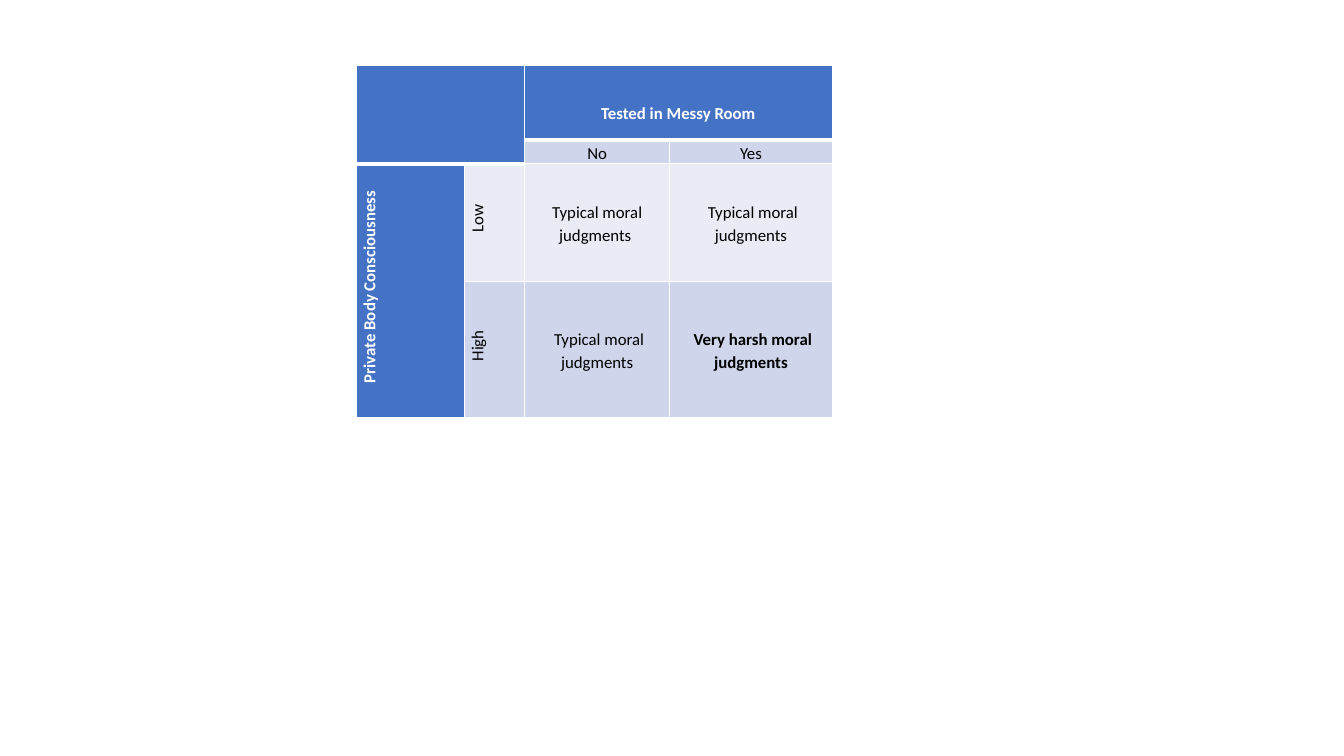
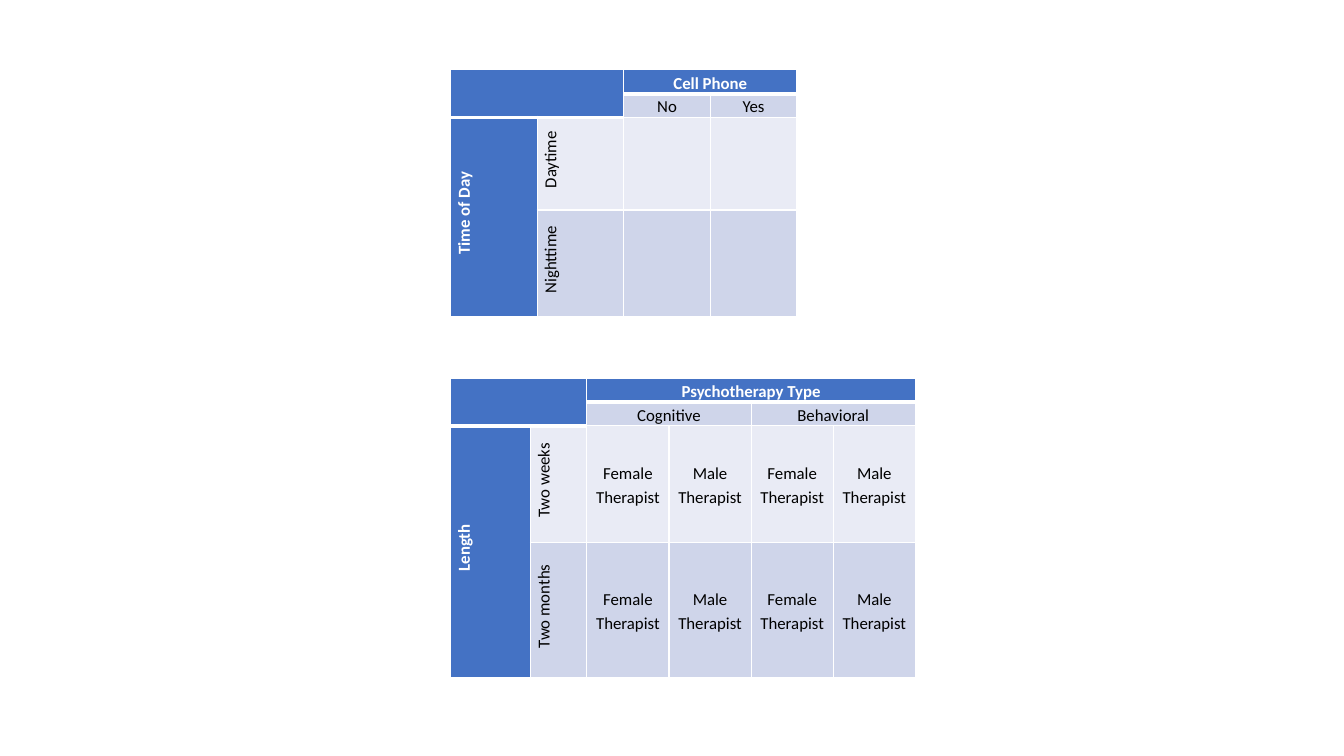
from lxml import etree
from pptx import Presentation
from pptx import util as u
from pptx.dml.color import RGBColor
from pptx.enum import text
from pptx.oxml.ns import qn

INK = {"head": "4472C4", "dark": "CFD5EA", "light": "E9EBF5",
       "line": "FFFFFF", "title": "FFFFFF", "body": "000000"}
FONT = {"name": "Calibri", "size": u.Pt(12)}
CELL = {"margin_left": u.Cm(0.18), "margin_right": u.Cm(0.18),
        "margin_top": 0, "margin_bottom": 0,
        "vertical_anchor": text.MSO_ANCHOR.MIDDLE}
PARA = {"alignment": text.PP_ALIGN.CENTER, "line_spacing": 1.15}
THIN, THICK = u.Pt(1), u.Pt(3)


def apply(item, form):
    for key, value in form.items():
        setattr(item, key, value)


def edge(cell, side, width):
    line = etree.SubElement(cell._tc.get_or_add_tcPr(), qn("a:ln" + side), w=str(width))
    fill = etree.SubElement(line, qn("a:solidFill"))
    etree.SubElement(fill, qn("a:srgbClr"), val=INK["line"])


def heavy(row, col):
    return row == 0 or (row == 1 and col < 2)


def paint(cell, row, col):
    apply(cell, CELL)
    widths = {"L": THIN, "R": THIN,
              "T": THICK if heavy(row - 1, col) else THIN,
              "B": THICK if heavy(row, col) else THIN}
    for side, width in widths.items():
        edge(cell, side, width)
    head = row == 0 or col == 0 or heavy(row, col)
    tone = "head" if head else "light" if row == 2 else "dark"
    cell.fill.solid()
    cell.fill.fore_color.rgb = RGBColor.from_string(INK[tone])
    para = cell.text_frame.paragraphs[0]
    etree.SubElement(para._p, qn("a:endParaRPr"), sz="1200")


def write(cell, words, ink="body", bold=False, turn=False):
    para = cell.text_frame.paragraphs[0]
    apply(para, PARA)
    if turn:
        cell._tc.get_or_add_tcPr().set("vert", "vert270")
        para._p.get_or_add_pPr().set("marL", str(u.Cm(0.2)))
    run = para.add_run()
    run.text = words
    apply(run.font, {**FONT, "bold": bold})
    run.font.color.rgb = RGBColor.from_string(INK[ink])


def design(slide, left, top, cols, rows, head, subs, side, levels,
           body=(), strong=(), drop=0):
    count = len(cols)
    frame = slide.shapes.add_table(len(rows), count, u.Cm(left), u.Cm(top),
                                   u.Cm(sum(cols)), u.Cm(sum(rows)))
    table = frame.table
    apply(table, {"first_row": False, "horz_banding": False})
    for col, width in zip(table.columns, cols):
        col.width = u.Cm(width)
    for row, height in zip(table.rows, rows):
        row.height = u.Cm(height)
    for row in range(len(rows)):
        for col in range(count):
            paint(table.cell(row, col), row, col)

    table.cell(0, 0).merge(table.cell(1, 1))
    table.cell(0, 2).merge(table.cell(0, count - 1))
    table.cell(2, 0).merge(table.cell(3, 0))
    write(table.cell(0, 2), head, "title", True)
    table.cell(0, 2).margin_top = u.Cm(drop)
    write(table.cell(2, 0), side, "title", True, True)

    step = (count - 2) // len(subs)
    for i, words in enumerate(subs):
        cell = table.cell(1, 2 + i * step)
        if step > 1:
            cell.merge(table.cell(1, 1 + (i + 1) * step))
        write(cell, words)
    for row, words in enumerate(levels, 2):
        write(table.cell(row, 1), words, turn=True)
    for row, line in enumerate(body, 2):
        for col, words in enumerate(line, 2):
            write(table.cell(row, col), words, bold=(row, col) in strong)


def main():
    deck = Presentation()
    apply(deck, {"slide_width": u.Cm(33.87), "slide_height": u.Cm(19.05)})
    first, second = (deck.slides.add_slide(deck.slide_layouts[6]) for _ in range(2))
    design(first, 8.98, 1.64, [2.72, 1.52, 3.66, 4.09], [1.89, 0.6, 2.97, 3.43],
           "Tested in Messy Room", ["No", "Yes"],
           "Private Body Consciousness", ["Low", "High"],
           [["Typical moral judgments ", " Typical moral judgments"],
            [" Typical moral judgments", " Very harsh moral judgments"]],
           strong={(3, 3)}, drop=0.5)
    design(second, 11.36, 1.76, [2.18] * 4, [0.6, 0.6, 2.33, 2.7],
           "Cell Phone", ["No", "Yes"], "Time of Day", ["Daytime", "Nighttime"])
    design(second, 11.36, 9.53, [2.01, 1.42] + [2.07] * 4, [0.6, 0.6, 2.95, 3.4],
           "Psychotherapy Type", ["Cognitive", "Behavioral"],
           "Length", ["Two weeks", "Two months"],
           [["Female Therapist", "Male Therapist"] * 2] * 2)
    deck.save("out.pptx")


if __name__ == "__main__":
    main()
